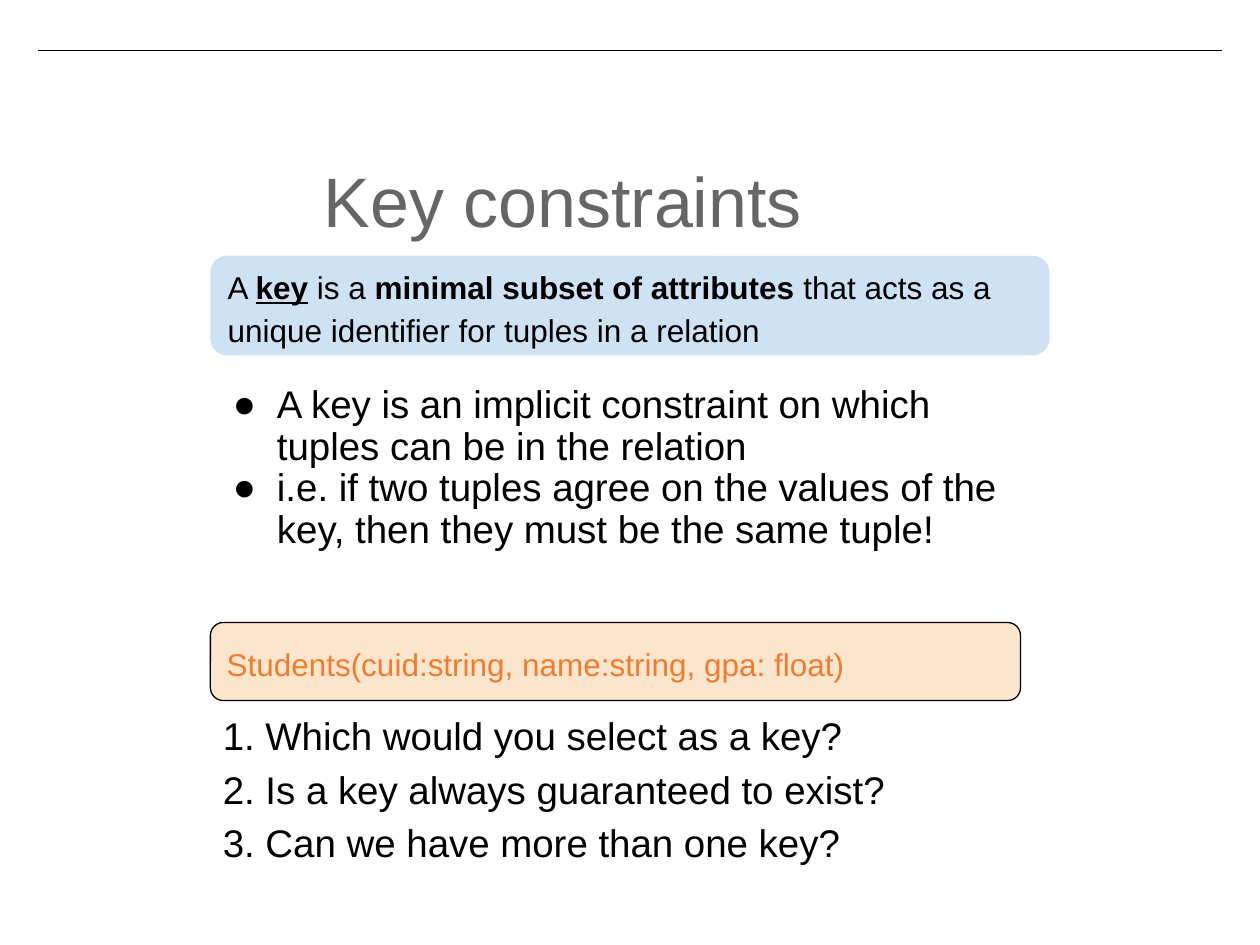
"""Build the slide on key constraints in relations."""
from lxml.etree import SubElement
from pptx import Presentation
from pptx.dml.color import RGBColor
from pptx.enum.shapes import MSO_CONNECTOR, MSO_SHAPE
from pptx.enum.text import MSO_ANCHOR, PP_ALIGN
from pptx.oxml.ns import qn
from pptx.util import Inches, Pt

HUES = {"ink": "000000", "title": "666666", "blue": "CFE2F3",
        "peach": "FCE5CD", "orange": "ED7D31"}


def tint(name):
    return RGBColor.from_string(HUES[name])


def write(para, text, size=22, hue="ink", bold=False, under=False, space=1.15):
    para.alignment = PP_ALIGN.LEFT
    para.line_spacing = space
    run = para.add_run()
    run.text = text
    font = run.font
    font.name, font.size = "Arial", Pt(size)
    font.bold, font.underline = bold, under
    font.color.rgb = tint(hue)


deck = Presentation()
deck.slide_width, deck.slide_height = Inches(10), Inches(7.5)
slide = deck.slides.add_slide(deck.slide_layouts[6])
shapes = slide.shapes

rule = shapes.add_connector(MSO_CONNECTOR.STRAIGHT, Inches(0.3), Inches(0.4),
                            Inches(9.7), Inches(0.4))
rule.line.color.rgb = tint("ink")
rule.line.width = Pt(0.75)
SubElement(rule._element.spPr, qn("a:effectLst"))

frames = {}
for name, left, top, width, height, fill, edge in [
    ("title", 2.47, 1.15, 6.09, 1.27, None, False),
    ("key", 1.67, 2.03, 6.66, 0.79, "blue", False),
    ("points", 1.6, 2.96, 6.66, 1.27, None, False),
    ("schema", 1.67, 4.94, 6.43, 0.62, "peach", True),
    ("quiz", 1.67, 5.5, 6.21, 0.79, None, False),
]:
    area = [Inches(n) for n in (left, top, width, height)]
    if fill:
        box = shapes.add_shape(MSO_SHAPE.ROUNDED_RECTANGLE, *area)
        box.shadow.inherit = False
        box.fill.solid()
        box.fill.fore_color.rgb = tint(fill)
        if edge:
            box.line.color.rgb = tint("ink")
            box.line.width = Pt(0.75)
        else:
            box.line.fill.background()
    else:
        box = shapes.add_textbox(*area)
    frame = frames[name] = box.text_frame
    frame.word_wrap = True
    frame.vertical_anchor = MSO_ANCHOR.MIDDLE if fill else MSO_ANCHOR.TOP
    frame.margin_left = frame.margin_right = Inches(0.1)
    frame.margin_top = frame.margin_bottom = Inches(0.1)

write(frames["title"].paragraphs[0], "Key constraints", size=40, hue="title", space=1)

for text, bold, under in [
    ("A ", False, False),
    ("key", True, True),
    (" is a ", False, False),
    ("minimal subset of attributes", True, False),
    (" that acts as a unique identifier for tuples in a relation", False, False),
]:
    write(frames["key"].paragraphs[0], text, size=18, bold=bold, under=under)

points = [
    "A key is an implicit constraint on which tuples can be in the relation",
    "i.e. if two tuples agree on the values of the key, then they must be the same tuple!",
]
for i, text in enumerate(points):
    frame = frames["points"]
    para = frame.add_paragraph() if i else frame.paragraphs[0]
    props = para._p.get_or_add_pPr()
    props.set("marL", str(Inches(0.5)))
    props.set("indent", str(Inches(-0.35)))
    shade = SubElement(props, qn("a:buClr"))
    SubElement(shade, qn("a:srgbClr"), val=HUES["ink"])
    SubElement(props, qn("a:buFont"), typeface="Arial")
    SubElement(props, qn("a:buChar"), char="●")
    write(para, text, space=0.9)

write(frames["schema"].paragraphs[0], "Students(cuid:string, name:string, gpa: float)",
      size=18, hue="orange")

quiz = ["1. Which would you select as a key?",
        "2. Is a key always guaranteed to exist?",
        "3. Can we have more than one key?"]
for i, text in enumerate(quiz):
    frame = frames["quiz"]
    write(frame.add_paragraph() if i else frame.paragraphs[0], text)

deck.save("out.pptx")
